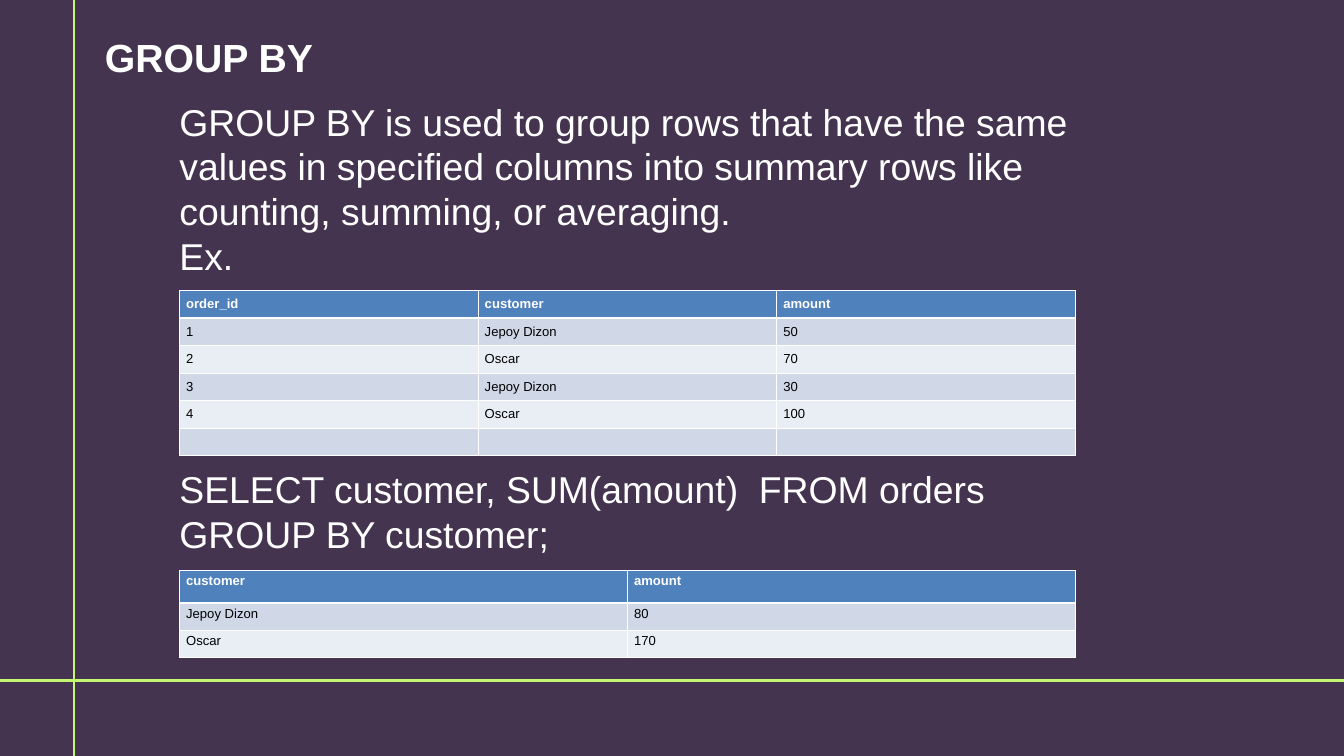
from lxml import etree
from pptx import Presentation
from pptx.dml.color import RGBColor
from pptx.enum import shapes, text
from pptx.oxml import ns
from pptx.util import Inches, Pt

PLUM = RGBColor(0x44, 0x34, 0x4F)
LIME = RGBColor(0xC2, 0xF9, 0x70)
WHITE = RGBColor(0xFF, 0xFF, 0xFF)
BLACK = RGBColor(0, 0, 0)
BLUE = RGBColor(0x4F, 0x81, 0xBD)
BANDS = [RGBColor(0xE9, 0xED, 0xF4), RGBColor(0xD0, 0xD8, 0xE8)]


def write(frame, lines, lead, **font):
    """Fill a frame with unpadded paragraphs of fixed line height."""
    look = dict(margin_left=0, margin_top=0, margin_right=0, margin_bottom=0,
                word_wrap=True, auto_size=text.MSO_AUTO_SIZE.NONE,
                vertical_anchor=text.MSO_ANCHOR.TOP)
    for key, val in look.items():
        setattr(frame, key, val)
    frame.text = "\n".join(lines)
    for para in frame.paragraphs:
        para.alignment = text.PP_ALIGN.LEFT
        para.line_spacing = Pt(lead)
        para.font.color.rgb = WHITE
        for key, val in dict(name="Arial", **font).items():
            setattr(para.font, key, val)


def edge(cell, row):
    """Draw white cell borders, thicker below the header."""
    props = cell._tc.get_or_add_tcPr()
    for i, side in enumerate("LRTB"):
        thick = (row, side) in [(0, "B"), (1, "T")]
        line = etree.Element(ns.qn(f"a:ln{side}"), w=str(Pt(3 if thick else 1)))
        fill = etree.SubElement(line, ns.qn("a:solidFill"))
        etree.SubElement(fill, ns.qn("a:srgbClr"), val=str(WHITE))
        props.insert(i, line)


prs = Presentation()
prs.slide_width, prs.slide_height = Inches(20), Inches(11.25)
slide = prs.slides.add_slide(prs.slide_layouts[5])
slide.background.fill.solid()
slide.background.fill.fore_color.rgb = PLUM

# Crossing rules
for ends in [(1.1, 11.25, 1.1, 0), (20, 10.13, 0, 10.13)]:
    rule = slide.shapes.add_connector(shapes.MSO_CONNECTOR.STRAIGHT,
                                      *[Inches(n) for n in ends])
    rule.line.color.rgb = LIME
    rule.line.width = Pt(3)
    etree.SubElement(rule._element.spPr, ns.qn("a:effectLst"))

# Title
title = slide.shapes.title
spot = dict(left=1.56, top=0.48, width=17.48, height=0.71)
for key, val in spot.items():
    setattr(title, key, Inches(val))
write(title.text_frame, ["GROUP BY"], 51, size=Pt(42), bold=True)

# Explanation and query
notes = [
    (1.47, 2.69, ["GROUP BY is used to group rows that have the same values in "
                  "specified columns into summary rows like counting, summing, "
                  "or averaging.", "Ex."]),
    (6.94, 1.35, ["SELECT customer, SUM(amount)  FROM orders",
                  "GROUP BY customer;"]),
]
for top, high, lines in notes:
    box = slide.shapes.add_textbox(Inches(2.67), Inches(top),
                                   Inches(13.85), Inches(high))
    write(box.text_frame, lines, 48, size=Pt(40))

# Orders table and grouped result
orders = [["order_id", "customer", "amount"],
          ["1", "Jepoy Dizon", "50"],
          ["2", "Oscar", "70"],
          ["3", "Jepoy Dizon", "30"],
          ["4", "Oscar", "100"],
          ["", "", ""]]
totals = [["customer", "amount"],
          ["Jepoy Dizon", "80"],
          ["Oscar", "170"]]
tables = [(4.32, 0.41, text.MSO_ANCHOR.MIDDLE, orders),
          (8.49, 0.48, text.MSO_ANCHOR.TOP, totals)]
for top, head, anchor, data in tables:
    high = head + 0.41 * (len(data) - 1)
    grid = slide.shapes.add_table(len(data), len(data[0]), Inches(2.67),
                                  Inches(top), Inches(13.33), Inches(high)).table
    for r, words in enumerate(data):
        grid.rows[r].height = Inches(0.41 if r else head)
        for c, word in enumerate(words):
            cell = grid.cell(r, c)
            cell.text = word
            cell.vertical_anchor = anchor
            cell.fill.solid()
            cell.fill.fore_color.rgb = BANDS[r % 2] if r else BLUE
            edge(cell, r)
            font = cell.text_frame.paragraphs[0].font
            font.color.rgb = BLACK if r else WHITE
            for key, val in dict(name="Arial", size=Pt(14), bold=r == 0).items():
                setattr(font, key, val)

prs.save("out.pptx")
